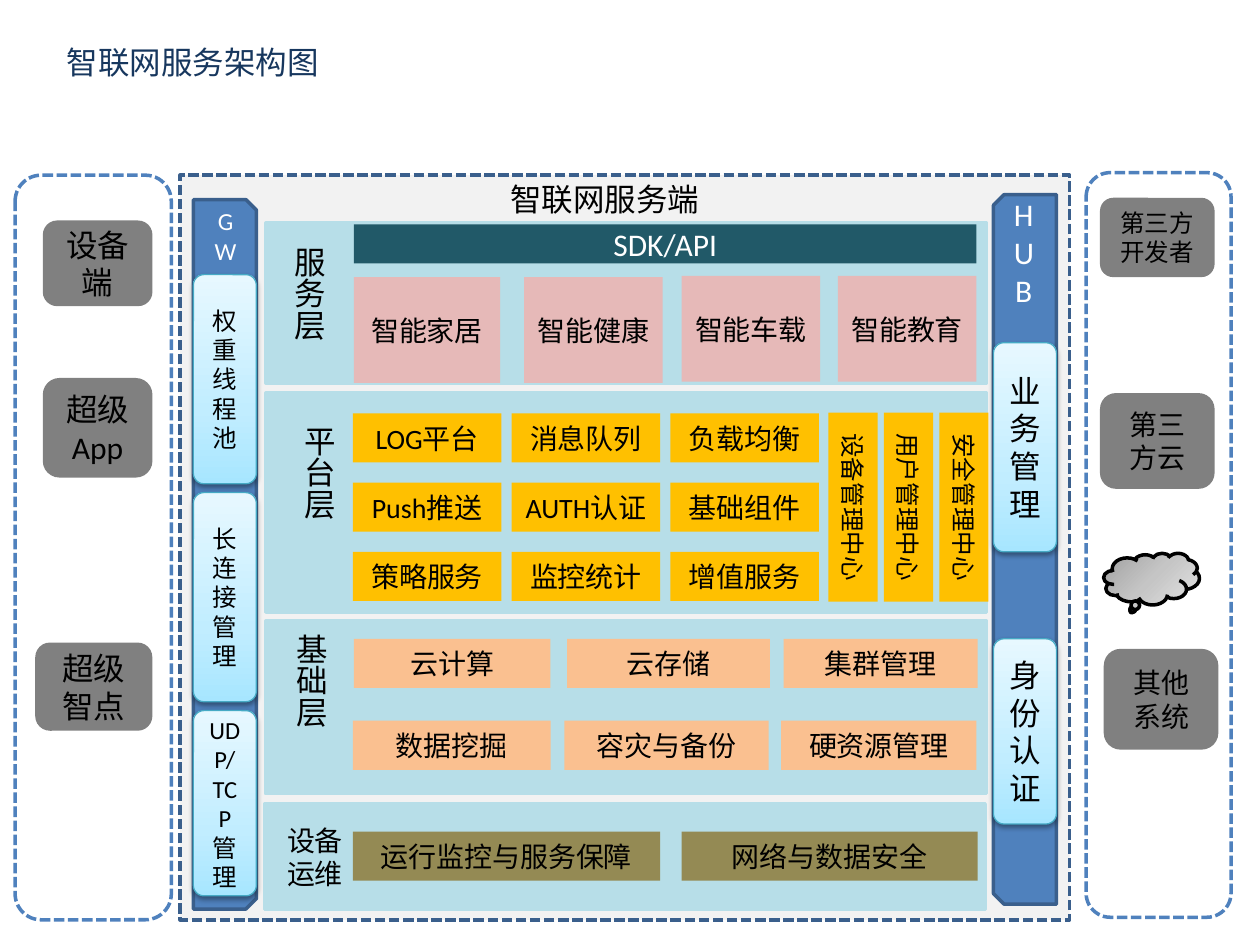
from dataclasses import dataclass

from lxml import etree
from pptx import Presentation
from pptx import util as u
from pptx.dml.color import RGBColor
from pptx.enum import dml, shapes, text
from pptx.oxml.ns import qn

KIND = shapes.MSO_SHAPE


@dataclass(frozen=True)
class Theme:
    """Hold the colours, font and type sizes."""
    face: str = "Calibri"
    big: int = 18
    mid: int = 16
    small: int = 14
    ink: str = "000000"
    white: str = "FFFFFF"
    navy: str = "17375E"
    blue: str = "4F81BD"
    edge: str = "3A5F8C"
    gray: str = "808080"
    pale: str = "F2F2F2"
    sky: str = "B7DEE8"
    teal: str = "215968"
    rose: str = "E6B9B8"
    gold: str = "FFC000"
    peach: str = "FAC090"
    olive: str = "948A54"
    rim: str = "46AAC5"
    glass: tuple = ((0, "A7E6FF"), (35, "C1EDFF"), (100, "E7F8FF"))
    steel: tuple = ((0, "A0A0A0"), (50, "C5C5C5"), (100, "E3E3E3"))


T = Theme()


def rgb(code):
    """Turn a hex code into a colour."""
    return RGBColor.from_string(code)


def node(root, tag, **attrs):
    """Add a drawing element below root."""
    return etree.SubElement(root, qn(tag), {k: str(v) for k, v in attrs.items()})


def write(frame, words, size, ink=T.ink, align=text.PP_ALIGN.CENTER):
    """Fill a text frame, one paragraph per line."""
    frame.word_wrap = True
    frame.text = words
    form = {"name": T.face, "size": u.Pt(size)}
    for para in frame.paragraphs:
        para.alignment = align
        for run in para.runs:
            for key, val in form.items():
                setattr(run.font, key, val)
            run.font.color.rgb = rgb(ink)


def box(slide, spot, fill, words="", size=T.mid, ink=T.ink, kind=KIND.RECTANGLE,
        line=None, width=2, dash=False, turn=0):
    """Add a filled shape with centred text."""
    shape = slide.shapes.add_shape(kind, *map(u.Inches, spot))
    shape.shadow.inherit = False
    shape.rotation = turn
    shape.fill.solid()
    shape.fill.fore_color.rgb = rgb(fill)
    if line:
        shape.line.color.rgb = rgb(line)
        shape.line.width = u.Pt(width)
        if dash:
            shape.line.dash_style = dml.MSO_LINE.SQUARE_DOT
            shape.line._get_or_add_ln().find(qn("a:prstDash")).set("val", "sysDash")
    else:
        shape.line.fill.background()
    if words:
        shape.text_frame.vertical_anchor = text.MSO_ANCHOR.MIDDLE
        write(shape.text_frame, words, size, ink)
    return shape


def blend(shape, stops, angle):
    """Swap the solid fill for a gradient."""
    props = shape._element.spPr
    old = props.find(qn("a:solidFill"))
    grad = etree.Element(qn("a:gradFill"), rotWithShape="1")
    group = node(grad, "a:gsLst")
    for place, code in stops:
        node(node(group, "a:gs", pos=place * 1000), "a:srgbClr", val=code)
    node(grad, "a:lin", ang=angle * 60000, scaled=0)
    props.replace(old, grad)


def shade(shape):
    """Cast a soft shadow straight down."""
    cast = node(shape._element.spPr.find(qn("a:effectLst")), "a:outerShdw",
                blurRad=u.Pt(3.1), dist=u.Pt(1.6), dir=90 * 60000, rotWithShape=0)
    node(node(cast, "a:srgbClr", val="000000"), "a:alpha", val=38000)


def pill(slide, spot, words, size):
    """Add a glassy rounded block."""
    shape = box(slide, spot, T.glass[0][1], words, size,
                kind=KIND.ROUNDED_RECTANGLE, line=T.rim, width=0.75)
    blend(shape, T.glass, 270)
    shade(shape)


def side(slide, spot, cards):
    """Add a dashed side panel and its cards."""
    box(slide, spot, T.white, kind=KIND.ROUNDED_RECTANGLE, line=T.blue, dash=True)
    for place, words, size in cards:
        box(slide, place, T.gray, words, size, kind=KIND.ROUNDED_RECTANGLE)


def tower(slide, bar, turn, head, name, size, blocks):
    """Add an upright bar with a name and blocks."""
    box(slide, bar, T.blue, kind=KIND.SNIP_2_SAME_RECTANGLE, line=T.edge, turn=turn)
    box(slide, head, T.blue, name, size, T.white, KIND.ROUNDED_RECTANGLE, T.blue)
    left = bar[0] + (bar[2] - bar[3]) / 2
    for top, high, words in blocks:
        pill(slide, (left, top, bar[3], high), words, size)


def layer(slide, band, tag, name, size=T.big, tall=True):
    """Add a layer band and its label."""
    box(slide, band, T.sky, line=T.sky)
    label = box(slide, tag, T.sky, name, size, line=T.sky)
    if tall:
        label.text_frame._txBody.bodyPr.set("vert", "eaVert")


def row(slide, top, high, fill, cells):
    """Add a row of boxes from left, width and words."""
    for left, wide, words in cells:
        box(slide, (left, top, wide, high), fill, words)


def ends(slide):
    """Draw both side panels."""
    side(slide, (0.12, 1.39, 1.24, 5.91), (
        ((0.34, 1.75, 0.87, 0.68), "设备端", T.big),
        ((0.34, 3, 0.87, 0.79), "超级\nApp", T.big),
        ((0.28, 5.1, 0.93, 0.7), "超级\n智点", T.big)))
    side(slide, (8.62, 1.37, 1.15, 5.91), (
        ((8.73, 1.57, 0.91, 0.63), "第三方开发者", T.small),
        ((8.73, 3.12, 0.91, 0.76), "第三\n方云", T.mid),
        ((8.76, 5.15, 0.91, 0.8), "其他\n系统", T.mid)))


def gates(slide):
    """Draw the server frame and both towers."""
    box(slide, (1.43, 1.39, 7.06, 5.91), T.pale, line=T.edge, dash=True)
    box(slide, (3.5, 1.46, 2.6, 0.24), T.pale, "智联网服务端", T.big, line=T.pale)
    tower(slide, (-1.03, 4.15, 5.63, 0.5), 90, (1.58, 1.66, 0.42, 0.42), "GW", T.small,
          ((2.18, 1.66, "权重线程池"), (3.91, 1.66, "长连接管理"),
           (5.64, 1.47, "UDP/TCP管理")))
    tower(slide, (5.32, 4.11, 5.63, 0.5), 270, (7.93, 1.59, 0.39, 0.82), "HUB", T.big,
          ((2.72, 1.66, "业务管理"), (5.07, 1.47, "身份认证")))


def stack(slide):
    """Draw the four layers."""
    layer(slide, (2.11, 1.77, 5.72, 1.27), (2.11, 1.86, 0.68, 1.14), "服务层")
    box(slide, (2.81, 1.78, 4.94, 0.31), T.teal, "SDK/API", T.big, T.white)
    row(slide, 2.2, 0.84, T.rose, ((2.81, 1.16, "智能家居"), (4.16, 1.1, "智能健康")))
    row(slide, 2.19, 0.84, T.rose, ((5.41, 1.1, "智能车载"), (6.65, 1.1, "智能教育")))

    layer(slide, (2.11, 3.12, 5.72, 1.74), (2.19, 3.28, 0.68, 1.42), "平台层")
    grid = (("LOG平台", "消息队列", "负载均衡"),
            ("Push推送", "AUTH认证", "基础组件"),
            ("策略服务", "监控统计", "增值服务"))
    for i, names in enumerate(grid):
        row(slide, 3.28 + 0.55 * i, 0.39, T.gold,
            [(2.8 + 1.26 * j, 1.18, name) for j, name in enumerate(names)])
    for i, name in enumerate(("设备", "用户", "安全")):
        box(slide, (6.02 + 0.44 * i, 3.83, 1.5, 0.39), T.gold,
            name + "管理中心", T.small, turn=90)

    layer(slide, (2.11, 4.93, 5.72, 1.37), (2.13, 4.93, 0.68, 1.37), "基础层")
    row(slide, 5.07, 0.39, T.peach,
        ((2.81, 1.56, "云计算"), (4.5, 1.61, "云存储"), (6.22, 1.54, "集群管理")))
    row(slide, 5.72, 0.39, T.peach,
        ((2.8, 1.57, "数据挖掘"), (4.48, 1.62, "容灾与备份"), (6.2, 1.55, "硬资源管理")))

    layer(slide, (2.1, 6.38, 5.72, 0.84), (2.13, 6.38, 0.74, 0.84),
          "设备\n运维", T.mid, False)
    row(slide, 6.6, 0.39, T.olive,
        ((2.8, 2.44, "运行监控与服务保障"), (5.41, 2.35, "网络与数据安全")))


def main():
    """Build and save the slide."""
    deck = Presentation()
    deck.slide_width, deck.slide_height = u.Inches(10), u.Inches(7.5)
    slide = deck.slides.add_slide(deck.slide_layouts[6])
    title = slide.shapes.add_textbox(*map(u.Inches, (0.43, 0.29, 5.91, 0.51)))
    write(title.text_frame, "智联网服务架构图", T.big, T.navy, text.PP_ALIGN.LEFT)
    ends(slide)
    gates(slide)
    stack(slide)
    cloud = box(slide, (8.76, 4.39, 0.76, 0.41), T.gray,
                kind=KIND.CLOUD_CALLOUT, line=T.ink)
    blend(cloud, T.steel, 45)
    deck.save("out.pptx")


if __name__ == "__main__":
    main()
